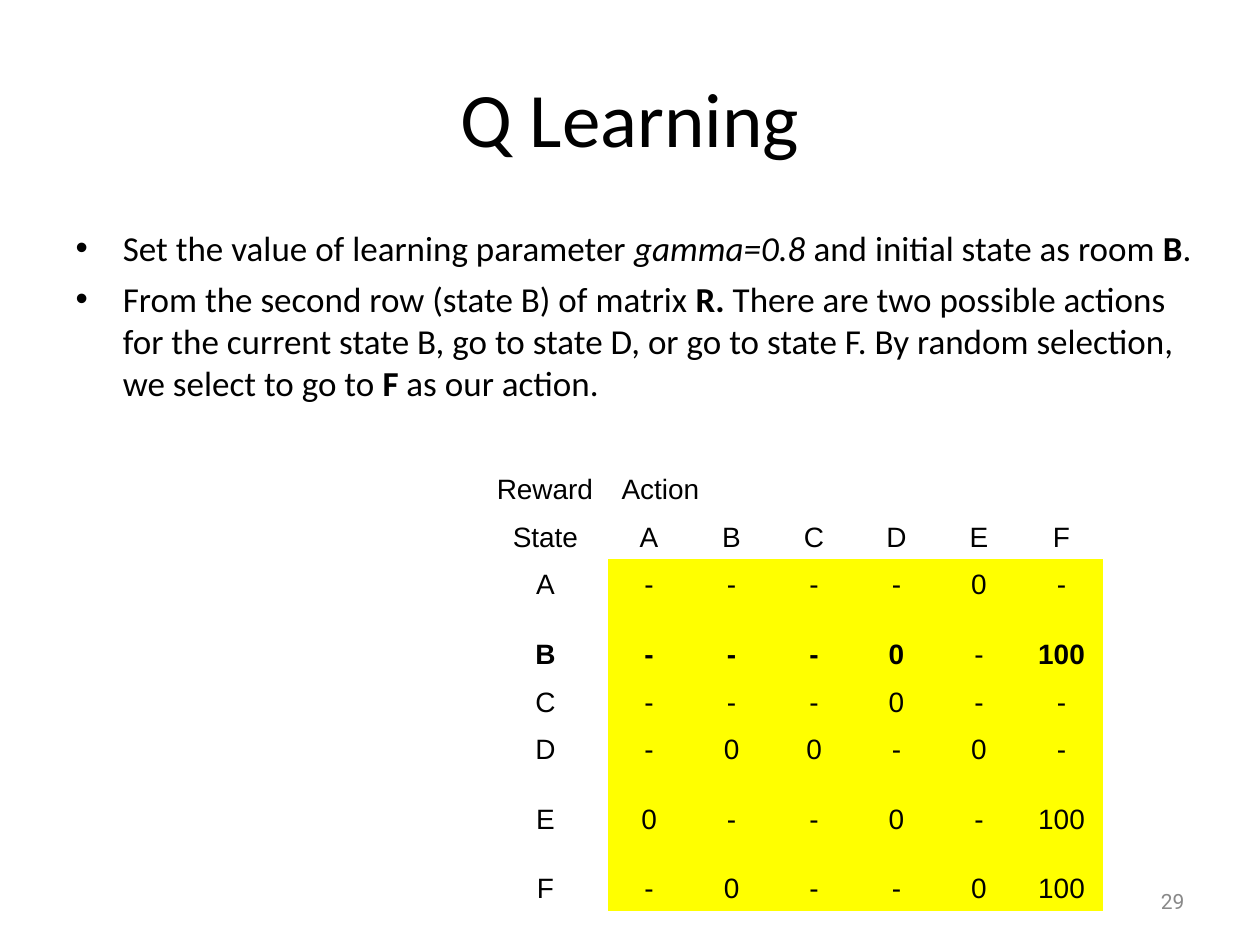
"""Build the Q Learning slide with its reward matrix."""
from pptx import Presentation
from pptx.dml.color import RGBColor
from pptx.enum.text import MSO_ANCHOR, MSO_AUTO_SIZE, PP_ALIGN
from pptx.util import Pt

BLACK = RGBColor(0x00, 0x00, 0x00)
GRAY = RGBColor(0x89, 0x89, 0x89)
YELLOW = RGBColor(0xFF, 0xFF, 0x00)
NO_STYLE_NO_GRID = "{2D5ABB26-0587-4C30-8999-92F81FD0307C}"

TITLE = "Q Learning"
PAGE_NUMBER = "29"
BULLETS = [
    [
        ("Set the value of learning parameter ", ""),
        ("gamma=0.8", "italic"),
        (" and initial state as room ", ""),
        ("B", "bold"),
        (".", ""),
    ],
    [
        ("From the second row (state B) of matrix ", ""),
        ("R. ", "bold"),
        ("There are two possible actions for the current state B, go to state D, "
         "or go to state F. By random selection, we select to go to ", ""),
        ("F", "bold"),
        (" as our action.", ""),
    ],
]
REWARDS = [
    ["Reward", "Action", "", "", "", "", ""],
    ["State", "A", "B", "C", "D", "E", "F"],
    ["A", "-", "-", "-", "-", "0", "-"],
    ["B", "-", "-", "-", "0", "-", "100"],
    ["C", "-", "-", "-", "0", "-", "-"],
    ["D", "-", "0", "0", "-", "0", "-"],
    ["E", "0", "-", "-", "0", "-", "100"],
    ["F", "-", "0", "-", "-", "0", "100"],
]
BOLD_CELLS = {(3, column) for column in (0, 1, 2, 3, 4, 6)}
COLUMN_WIDTHS = [71.3] + [47.15] * 6
ROW_HEIGHTS = [46, 27.36, 27.36, 39.6, 27.36, 27.36, 39.6, 39.6]


def place(shape, left, top, width, height):
    shape.left, shape.top = Pt(left), Pt(top)
    shape.width, shape.height = Pt(width), Pt(height)
    shape.text_frame.auto_size = MSO_AUTO_SIZE.NONE
    shape.text_frame.word_wrap = True


def format_runs(paragraph, name, size, color=BLACK):
    for run in paragraph.runs:
        run.font.name = name
        run.font.size = Pt(size)
        run.font.color.rgb = color


def add_title(slide):
    title = slide.shapes.title
    place(title, 36, 21.6, 648, 90)
    title.text_frame.text = TITLE
    title.text_frame.vertical_anchor = MSO_ANCHOR.MIDDLE
    paragraph = title.text_frame.paragraphs[0]
    paragraph.alignment = PP_ALIGN.CENTER
    format_runs(paragraph, "Calibri", 44)


def add_bullets(slide):
    body = slide.placeholders[1]
    place(body, 36, 126, 653.76, 365.76)
    frame = body.text_frame
    for index, pieces in enumerate(BULLETS):
        paragraph = frame.add_paragraph() if index else frame.paragraphs[0]
        paragraph.space_before = Pt(5 if index else 0)
        for text, emphasis in pieces:
            run = paragraph.add_run()
            run.text = text
            run.font.bold = emphasis == "bold"
            run.font.italic = emphasis == "italic"
        format_runs(paragraph, "Calibri", 20)


def add_page_number(slide):
    box = slide.shapes.add_textbox(0, 0, 0, 0)
    place(box, 516.24, 500.4, 167.76, 28.8)
    box.text_frame.text = PAGE_NUMBER
    box.text_frame.vertical_anchor = MSO_ANCHOR.MIDDLE
    paragraph = box.text_frame.paragraphs[0]
    paragraph.alignment = PP_ALIGN.RIGHT
    format_runs(paragraph, "Roboto", 12, GRAY)


def format_cell(cell, row, column):
    cell.text_frame.text = REWARDS[row][column]
    cell.vertical_anchor = MSO_ANCHOR.BOTTOM
    cell.margin_left = cell.margin_right = Pt(7.92)
    cell.margin_top = cell.margin_bottom = Pt(3.6)
    if row >= 2 and column >= 1:
        cell.fill.solid()
        cell.fill.fore_color.rgb = YELLOW
    else:
        cell.fill.background()
    paragraph = cell.text_frame.paragraphs[0]
    paragraph.alignment = PP_ALIGN.CENTER if row else PP_ALIGN.LEFT
    format_runs(paragraph, "Arial", 16)
    for run in paragraph.runs:
        run.font.bold = (row, column) in BOLD_CELLS


def add_reward_table(slide):
    graphic_frame = slide.shapes.add_table(
        len(REWARDS), len(COLUMN_WIDTHS), Pt(276), Pt(246.24),
        Pt(sum(COLUMN_WIDTHS)), Pt(sum(ROW_HEIGHTS)))
    graphic_frame.element.xpath(".//a:tableStyleId")[0].text = NO_STYLE_NO_GRID
    table = graphic_frame.table
    table.first_row = table.horz_banding = False
    for column, width in zip(table.columns, COLUMN_WIDTHS):
        column.width = Pt(width)
    for row, height in zip(table.rows, ROW_HEIGHTS):
        row.height = Pt(height)
    for row in range(len(REWARDS)):
        for column in range(len(COLUMN_WIDTHS)):
            format_cell(table.cell(row, column), row, column)
    table.cell(0, 1).merge(table.cell(0, 2))


def main():
    presentation = Presentation()
    presentation.slide_width, presentation.slide_height = Pt(720), Pt(540)
    slide = presentation.slides.add_slide(presentation.slide_layouts[1])
    add_title(slide)
    add_bullets(slide)
    add_page_number(slide)
    add_reward_table(slide)
    presentation.save("out.pptx")


if __name__ == "__main__":
    main()
